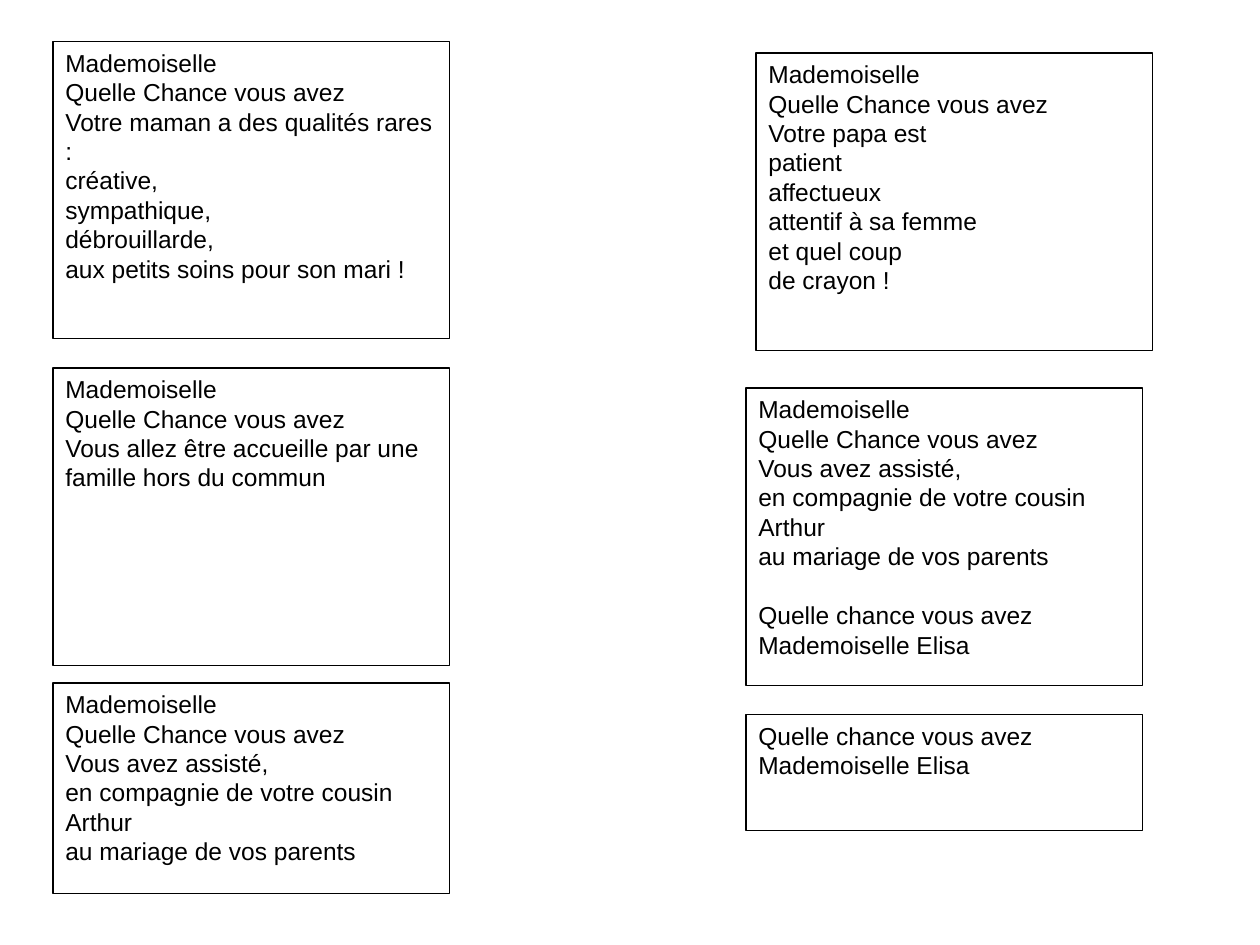
from dataclasses import dataclass

from pptx import Presentation
from pptx.dml.color import RGBColor
from pptx.enum.shapes import MSO_SHAPE
from pptx.enum.text import MSO_ANCHOR, PP_ALIGN
from pptx.slide import Slide
from pptx.util import Inches, Pt

RECTANGLE = MSO_SHAPE.RECTANGLE
TOP = MSO_ANCHOR.TOP
LEFT = PP_ALIGN.LEFT


@dataclass(frozen=True)
class Theme:
    ink: RGBColor = RGBColor(0, 0, 0)
    font: str = "Arial"
    size: Pt = Pt(14)
    line_height: Pt = Pt(16.8)
    border: Pt = Pt(0.75)


@dataclass(frozen=True)
class Card:
    """A message card; each stanza is a group of lines, set one line apart."""
    left: float
    top: float
    height: float
    stanzas: tuple[tuple[str, ...], ...]


THEME = Theme()
CARD_WIDTH = 3.15
TALL = 2.36
LEFT_COLUMN, RIGHT_COLUMN = 0.42, 5.92

# Wording shared between cards
GREETING = ("Mademoiselle", "Quelle Chance vous avez")
WEDDING = GREETING + (
    "Vous avez assisté,",
    "en compagnie de votre cousin Arthur",
    "au mariage de vos parents",
)
CLOSING = ("Quelle chance vous avez", "Mademoiselle Elisa")

MOTHER = GREETING + (
    "Votre maman a des qualités rares :",
    "créative,",
    "sympathique,",
    "débrouillarde,",
    "aux petits soins pour son mari !",
)
FATHER = GREETING + (
    "Votre papa est",
    "patient",
    "affectueux",
    "attentif à sa femme",
    "et quel coup",
    "de crayon !",
)
FAMILY = GREETING + ("Vous allez être accueille par une famille hors du commun",)

CARDS = (
    Card(LEFT_COLUMN, 0.33, TALL, (MOTHER,)),
    Card(6, 0.42, TALL, (FATHER,)),
    Card(LEFT_COLUMN, 2.92, TALL, (FAMILY,)),
    Card(RIGHT_COLUMN, 3.08, TALL, (WEDDING, CLOSING)),
    Card(LEFT_COLUMN, 5.42, 1.67, (WEDDING,)),
    Card(RIGHT_COLUMN, 5.67, 0.92, (CLOSING,)),
)


def draw_card(slide: Slide, card: Card) -> None:
    # Outlined frame
    frame = slide.shapes.add_shape(
        RECTANGLE, Inches(card.left), Inches(card.top),
        Inches(CARD_WIDTH), Inches(card.height))
    frame.shadow.inherit = False
    frame.fill.background()
    frame.line.color.rgb = THEME.ink
    frame.line.width = THEME.border

    # Message
    message = frame.text_frame
    message.word_wrap = True
    message.vertical_anchor = TOP
    message.text = "\n".join(line for stanza in card.stanzas for line in stanza)
    for paragraph in message.paragraphs:
        paragraph.alignment = LEFT
        paragraph.line_spacing = THEME.line_height
        paragraph.font.name = THEME.font
        paragraph.font.size = THEME.size
        paragraph.font.color.rgb = THEME.ink

    # Gap before each later stanza
    first_line = 0
    for previous in card.stanzas[:-1]:
        first_line += len(previous)
        message.paragraphs[first_line].space_before = THEME.line_height


def main() -> None:
    presentation = Presentation()
    presentation.slide_width = Inches(10)
    presentation.slide_height = Inches(7.5)
    slide = presentation.slides.add_slide(presentation.slide_layouts[6])
    for card in CARDS:
        draw_card(slide, card)
    presentation.save("out.pptx")


if __name__ == "__main__":
    main()
